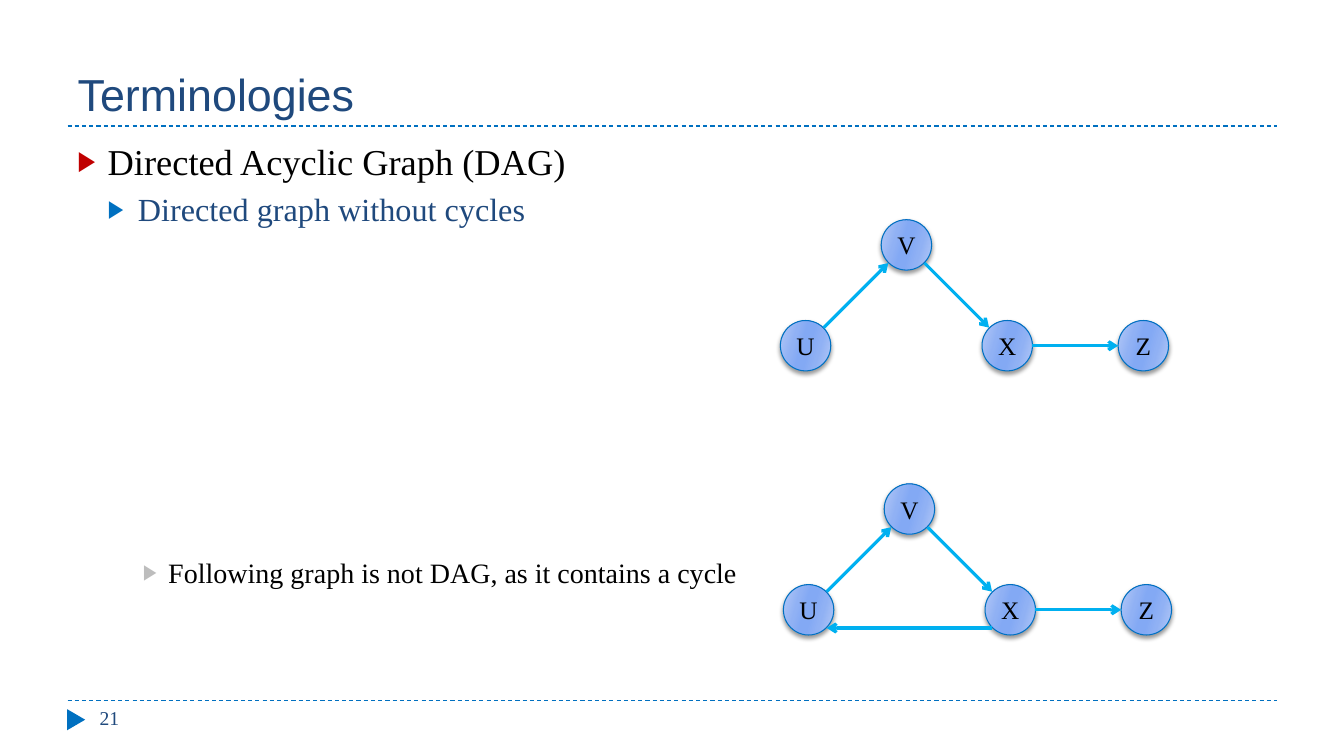
from lxml import etree
from pptx import Presentation
from pptx.dml.color import RGBColor
from pptx.enum import dml, shapes, text
from pptx.oxml import parse_xml
from pptx.oxml.ns import nsdecls, qn
from pptx.util import Inches, Pt

SERIF = "Times New Roman"
NAVY, BLUE, SKY, BLACK = "1F497D", "0070C0", "00B0F0", "000000"
NODE_SIZE = 0.5
NODES = {"X": (2, 1), "U": (0, 1), "V": (1, 0), "Z": (3.35, 1)}
SIDES = {"right": (0.25, 0), "left": (-0.25, 0),
         "top right": (0.18, -0.18), "top left": (-0.18, -0.18),
         "bottom right": (0.18, 0.18), "bottom left": (-0.18, 0.18)}
DAG_EDGES = [("U", "top right", "V", "bottom left"),
             ("V", "bottom right", "X", "top left"),
             ("X", "right", "Z", "left")]
CYCLE_EDGES = DAG_EDGES + [("X", "bottom left", "U", "bottom right")]
GRADIENT = [(0, "B4C9F6"), (30, "90B1F4"), (45, "83A9F4"),
            (55, "83A9F4"), (73, "90B1F4"), (100, "B4C9F6")]
BULLETS = [
    ("Directed Acyclic Graph (DAG)", 0, 0.3, 0.3, 0, 26, BLACK, "C00000"),
    ("Directed graph without cycles", 1, 0.6, 0.3, 5, 23, NAVY, BLUE),
    ("Following graph is not DAG, as it contains a cycle",
     2, 0.9, 0.25, 234, 20, BLACK, "BDBDBD"),
]


def color(value):
    """Turn a hex string into a colour."""
    return RGBColor.from_string(value)


def write(paragraph, content, size=18, fill=BLACK, font=SERIF, align=text.PP_ALIGN.LEFT):
    """Fill a paragraph with formatted text."""
    paragraph.alignment = align
    run = paragraph.add_run()
    run.text = content
    run.font.size = Pt(size)
    run.font.name = font
    run.font.color.rgb = color(fill)


def add_text_box(slide, left, top, width, height):
    """Add an empty wrapping text box and return its frame."""
    box = slide.shapes.add_textbox(Inches(left), Inches(top), Inches(width), Inches(height))
    box.text_frame.word_wrap = True
    return box.text_frame


def add_bullet(paragraph, margin, hanging, fill):
    """Give a paragraph a hanging triangle bullet."""
    properties = paragraph._p.get_or_add_pPr()
    properties.set("marL", str(Inches(margin)))
    properties.set("indent", str(-Inches(hanging)))
    bullet_color = etree.SubElement(properties, qn("a:buClr"))
    etree.SubElement(bullet_color, qn("a:srgbClr"), val=fill)
    etree.SubElement(properties, qn("a:buSzPct"), val="76000")
    etree.SubElement(properties, qn("a:buFont"), typeface="Arial")
    etree.SubElement(properties, qn("a:buChar"), char="▶")


def add_line(slide, start, end, fill, width):
    """Add a plain straight line without a shadow."""
    line = slide.shapes.add_connector(
        shapes.MSO_CONNECTOR.STRAIGHT, *(Inches(value) for value in (*start, *end)))
    line.line.color.rgb = color(fill)
    line.line.width = Pt(width)
    etree.SubElement(line._element.spPr, qn("a:effectLst"))
    return line


def add_rule(slide, top):
    """Add a dashed rule across the slide."""
    rule = add_line(slide, (0.67, top), (12.67, top), BLUE, 0.75)
    rule.line.dash_style = dml.MSO_LINE.DASH


def add_arrow(slide, start, end):
    """Add an arrow for a directed edge."""
    arrow = add_line(slide, start, end, SKY, 2.25)
    etree.SubElement(arrow.line._get_or_add_ln(), qn("a:tailEnd"), type="arrow")


def add_node(slide, label, left, top):
    """Add a shaded, labelled graph node."""
    node = slide.shapes.add_shape(shapes.MSO_SHAPE.OVAL, Inches(left), Inches(top),
                                  Inches(NODE_SIZE), Inches(NODE_SIZE))
    stops = "".join(f'<a:gs pos="{place * 1000}"><a:srgbClr val="{value}"/></a:gs>'
                    for place, value in GRADIENT)
    properties = node._element.spPr
    properties.insert(2, parse_xml(
        f'<a:gradFill {nsdecls("a")} rotWithShape="1"><a:gsLst>{stops}</a:gsLst>'
        '<a:lin ang="960000" scaled="0"/></a:gradFill>'))
    node.line.color.rgb = color(BLUE)
    node.line.width = Pt(0.75)
    properties.append(parse_xml(
        f'<a:effectLst {nsdecls("a")}><a:outerShdw blurRad="38100" dist="25400" '
        'dir="5400000" rotWithShape="0"><a:srgbClr val="000000"><a:alpha val="40000"/>'
        '</a:srgbClr></a:outerShdw></a:effectLst>'))
    frame = node.text_frame
    frame.word_wrap = False
    frame.vertical_anchor = text.MSO_ANCHOR.MIDDLE
    write(frame.paragraphs[0], label, align=text.PP_ALIGN.CENTER)


def add_graph(slide, left, top, edges):
    """Add the four nodes and the given directed edges."""
    for label, (column, row) in NODES.items():
        add_node(slide, label, left + column, top + row)

    def anchor(label, side):
        """Find the point on a node's outline."""
        return [origin + place + NODE_SIZE / 2 + offset for origin, place, offset
                in zip((left, top), NODES[label], SIDES[side])]

    for source, source_side, target, target_side in edges:
        add_arrow(slide, anchor(source, source_side), anchor(target, target_side))


def add_title(slide, content):
    """Place and fill the title placeholder."""
    title = slide.shapes.title
    title.left, title.top = Inches(0.67), Inches(0.17)
    title.width, title.height = Inches(12), Inches(1.08)
    title.text_frame.vertical_anchor = text.MSO_ANCHOR.BOTTOM
    write(title.text_frame.paragraphs[0], content, size=32, fill=NAVY, font="Arial")


def add_body(slide):
    """Add the bulleted definitions."""
    frame = add_text_box(slide, 0.67, 1.33, 12, 5.4)
    for index, (content, level, margin, hanging, before, size, fill, mark) in enumerate(BULLETS):
        paragraph = frame.add_paragraph() if index else frame.paragraphs[0]
        paragraph.level = level
        paragraph.space_before = Pt(before)
        add_bullet(paragraph, margin, hanging, mark)
        write(paragraph, content, size=size, fill=fill)


def add_footer(slide):
    """Add the page marker and number."""
    marker = slide.shapes.add_shape(shapes.MSO_SHAPE.ISOSCELES_TRIANGLE, Inches(0.65),
                                    Inches(7.05), Inches(0.21), Inches(0.18))
    marker.rotation = 90
    marker.shadow.inherit = False
    marker.fill.solid()
    marker.fill.fore_color.rgb = color(BLUE)
    marker.line.fill.background()
    number = add_text_box(slide, 0.89, 6.95, 2.89, 0.4)
    write(number.paragraphs[0], "21", size=14, fill=NAVY)


def main():
    """Build and save the slide."""
    presentation = Presentation()
    presentation.slide_width, presentation.slide_height = Inches(13.33), Inches(7.5)
    slide = presentation.slides.add_slide(presentation.slide_layouts[5])
    add_rule(slide, 6.95)
    add_rule(slide, 1.25)
    add_title(slide, "Terminologies")
    add_footer(slide)
    add_body(slide)
    add_graph(slide, 7.74, 2.18, DAG_EDGES)
    add_graph(slide, 7.77, 4.8, CYCLE_EDGES)
    presentation.save("out.pptx")


if __name__ == "__main__":
    main()
